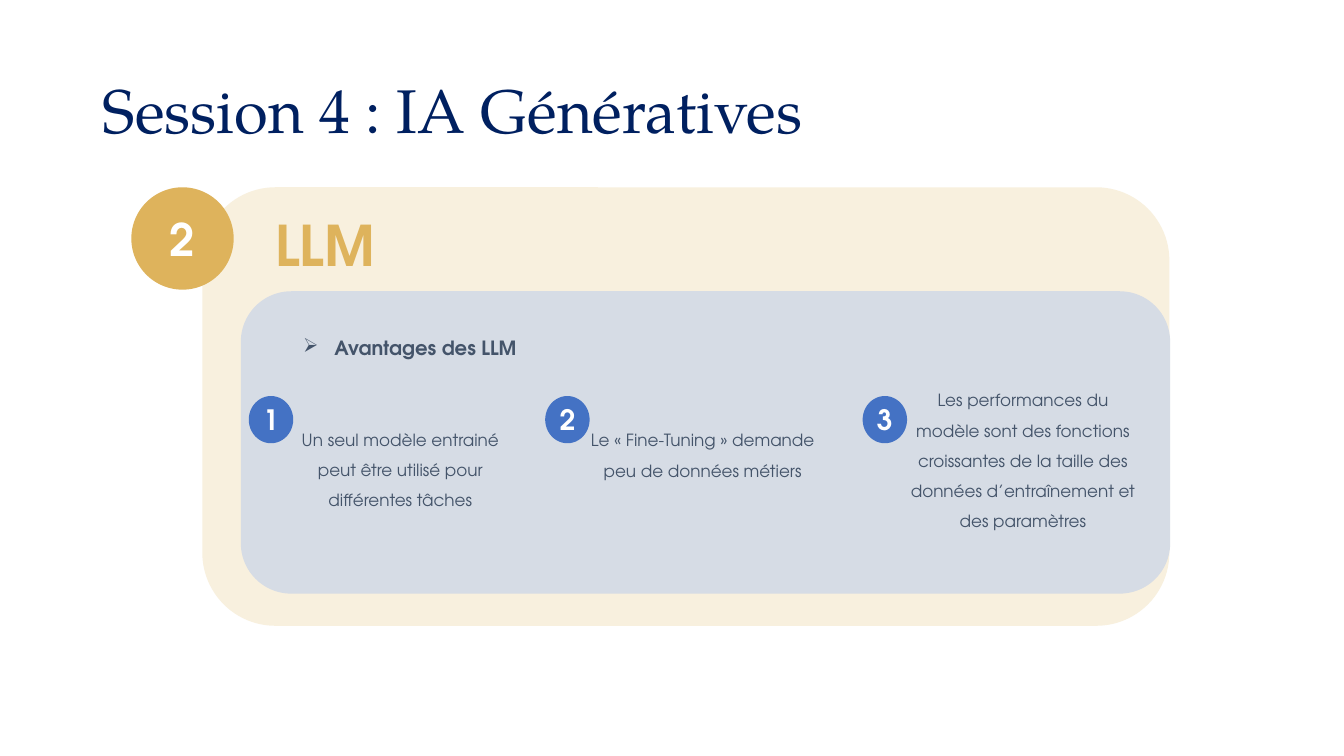
import pptx
import pptx.util
import pptx.dml.color
import pptx.enum.shapes
import pptx.enum.text
from lxml import etree

Cm = pptx.util.Cm
Shape = pptx.enum.shapes.MSO_SHAPE
Align = pptx.enum.text.PP_ALIGN
Anchor = pptx.enum.text.MSO_ANCHOR

TITLE = "Session 4 : IA Génératives"
SECTION = ("2", "LLM")
HEADING = "Avantages des LLM"
ADVANTAGES = [
    ("1", "Un seul modèle entrainé peut être utilisé pour différentes tâches",
     6.27, (6.99, 10.44, 6.2, 2.46)),
    ("2", "Le «\u00a0Fine-Tuning\u00a0» demande peu de données métiers",
     13.74, (14.61, 10.46, 6.2, 1.7)),
    ("3", "Les performances du modèle sont des fonctions croissantes de la taille "
     "des données d’entraînement et des paramètres",
     21.74, (22.68, 9.45, 6.2, 4.01)),
]
BADGE_TOP, BADGE_WIDTH, BADGE_HEIGHT = 9.98, 1.12, 1.19

SANS, SERIF = "TeX Gyre Adventor", "TeX Gyre Pagella"
NAVY, GOLD, CREAM = "002060", "DEB35C", "F8F0DE"
SLATE, MIST, BLUE, WHITE = "44546A", "D6DCE5", "4472C4", "FFFFFF"


def colour(value):
    return pptx.dml.color.RGBColor.from_string(value)


def write(shape, text, size, tone, bold=False, align=Align.LEFT, spacing=None, font=SANS):
    shape.text_frame.text = text
    para = shape.text_frame.paragraphs[0]
    para.alignment = align
    para.line_spacing = spacing
    span = para.runs[0]
    span.font.name = font
    span.font.size = pptx.util.Pt(size)
    span.font.bold = bold
    span.font.color.rgb = colour(tone)
    return para


def add_block(page, kind, place, fill):
    shape = page.shapes.add_shape(kind, *map(Cm, place))
    shape.shadow.inherit = False
    shape.fill.solid()
    shape.fill.fore_color.rgb = colour(fill)
    shape.line.fill.background()
    return shape


def add_badge(page, number, place, fill, size):
    badge = add_block(page, Shape.OVAL, place, fill)
    frame = badge.text_frame
    frame.margin_left = frame.margin_right = frame.margin_top = frame.margin_bottom = 0
    frame.vertical_anchor = Anchor.MIDDLE
    frame.word_wrap = False
    write(badge, number, size, WHITE, True, Align.CENTER)


def add_text(page, place, *style):
    box = page.shapes.add_textbox(*map(Cm, place))
    box.text_frame.word_wrap = True
    return box, write(box, *style)


def add_bullet(para, symbol, indent):
    properties = para._p.get_or_add_pPr()
    properties.set("marL", str(Cm(indent)))
    properties.set("indent", str(-Cm(indent)))
    bullet = etree.SubElement(properties, pptx.oxml.ns.qn("a:buChar"))
    bullet.set("char", symbol)


def main():
    deck = pptx.Presentation()
    deck.slide_width, deck.slide_height = Cm(33.87), Cm(19.05)
    page = deck.slides.add_slide(deck.slide_layouts[5])

    title = page.shapes.title
    title.left, title.top, title.width, title.height = map(Cm, (2.34, 1.02, 29.21, 3.68))
    title.text_frame.vertical_anchor = Anchor.MIDDLE
    write(title, TITLE, 44, NAVY, False, Align.LEFT, 0.9, SERIF)

    add_block(page, Shape.ROUNDED_RECTANGLE, (5.1, 4.72, 24.38 - 0.01, 11.05), CREAM)
    add_badge(page, SECTION[0], (3.31, 4.72, 2.58, 2.58), GOLD, 32)
    label, _ = add_text(page, (6.45, 5.18, 6.22, 1.96), SECTION[1], 40, GOLD, True)
    label.text_frame.margin_left = Cm(0.49)
    add_block(page, Shape.ROUNDED_RECTANGLE, (6.07, 7.34, 23.42, 7.62), MIST)

    _, heading = add_text(page, (7.39, 8.05, 21.31, 1.93),
                          HEADING, 14, SLATE, True, Align.LEFT, 1.5)
    add_bullet(heading, "➢", 0.79)

    for number, text, badge_left, place in ADVANTAGES:
        add_text(page, place, text, 12, SLATE, False, Align.CENTER, 1.5)
        add_badge(page, number, (badge_left, BADGE_TOP, BADGE_WIDTH, BADGE_HEIGHT), BLUE, 20)

    deck.save("out.pptx")


if __name__ == "__main__":
    main()
